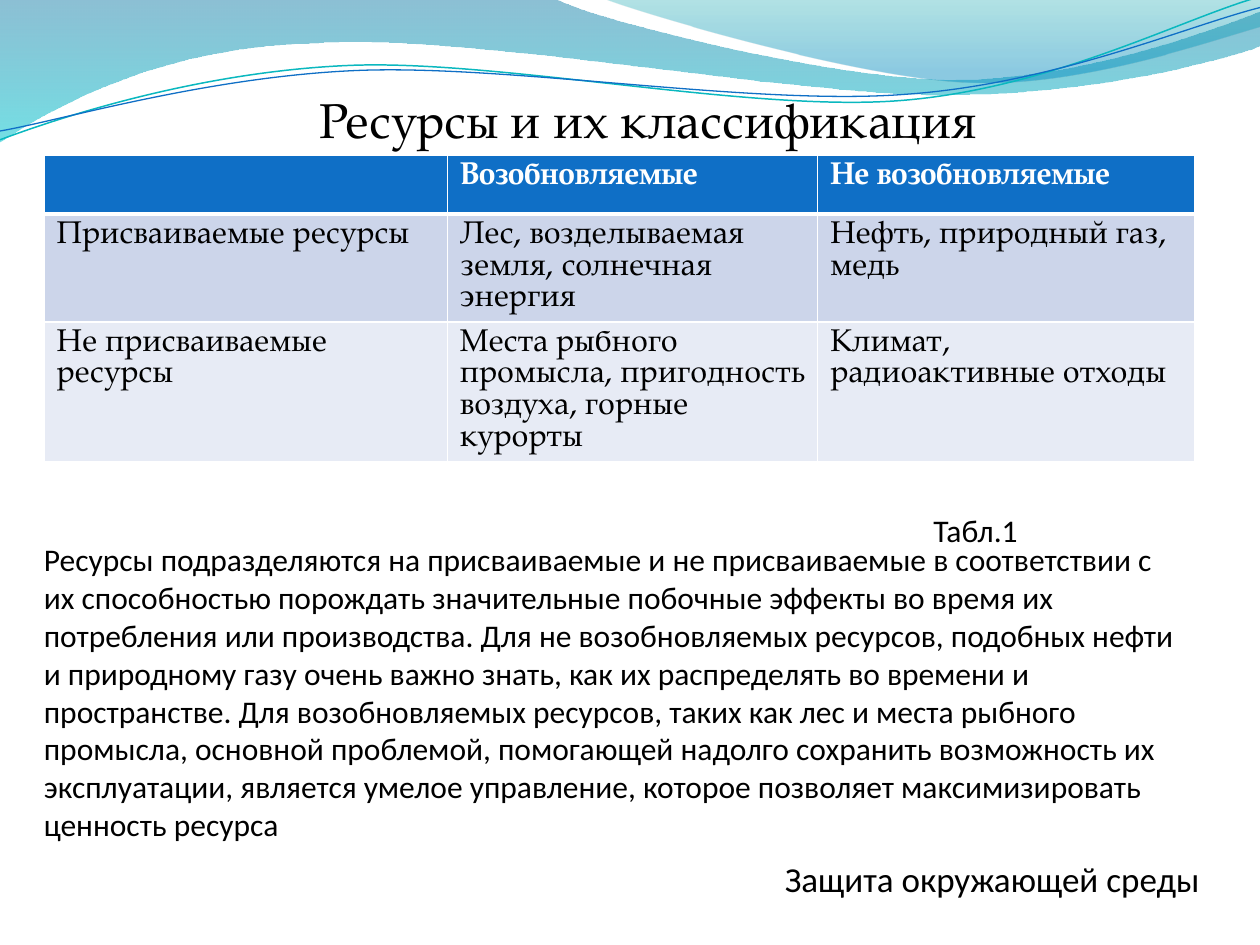
from dataclasses import dataclass
from lxml.etree import SubElement as Sub
from pptx import Presentation
from pptx.dml.color import RGBColor as RGB
from pptx.enum.text import MSO_AUTO_SIZE as Fit, PP_ALIGN as Align
from pptx.oxml.ns import qn
from pptx.util import Inches, Pt


@dataclass(frozen=True)
class Theme:
    serif: str = "TeX Gyre Pagella"
    sans: str = "Calibri"
    title: int = 28
    foot: int = 20
    body: int = 18
    ink: str = "000000"
    white: str = "FFFFFF"
    blue: str = "0F6FC6"
    teal: str = "0AB8BF"
    bands: tuple = ("CCD5EA", "E7EBF5")
    deep: tuple = ((0, "0074A1", 45), (100, "00C6CF", 55))
    pale: tuple = ((0, "00A1A9", 30), (80, "008BBF", 45))


T = Theme()

WAVE = [(0, 0), (4.4, -0.01), (4.76, 0.17, 6.64, 0.63, 7.58, 0.63),
        (8.53, 0.63, 9.58, 0.26, 10, 0.09), (10.01, 0.36),
        (9.83, 0.44, 8.7, 0.76, 7.46, 0.75), (6.22, 0.75, 3.82, 0.28, 2.57, 0.34),
        (1.29, 0.36, 0.46, 0.83, -0.01, 1.13)]
SWEEP = [(4.79, -0.01), (5.09, 0.11, 6.82, 0.62, 7.69, 0.65),
         (8.56, 0.69, 9.61, 0.32, 10, 0.21), (10, 0)]
UPPER = [(0, 1.11), (0.48, 0.93, 1.58, 0.57, 2.77, 0.52),
         (3.95, 0.47, 5.93, 0.89, 7.13, 0.8), (8.33, 0.71, 9.38, 0.15, 9.98, -0.02)]
LOWER = [(0, 1.04), (0.47, 0.96, 1.64, 0.61, 2.83, 0.56),
         (4.03, 0.51, 5.97, 0.84, 7.17, 0.75), (8.36, 0.67, 9.41, 0.21, 10, 0.06)]

ROWS = [
    ("", "Возобновляемые", "Не возобновляемые"),
    ("Присваиваемые ресурсы", "Лес, возделываемая земля, солнечная энергия",
     "Нефть, природный газ, медь"),
    ("Не присваиваемые ресурсы",
     "Места рыбного промысла, пригодность воздуха, горные курорты",
     "Климат, радиоактивные отходы"),
]
BODY = (
    "Ресурсы подразделяются на присваиваемые и не присваиваемые в соответствии с "
    "их способностью порождать значительные побочные эффекты во время их "
    "потребления или производства. Для не возобновляемых ресурсов, подобных нефти "
    "и природному газу очень важно знать, как их распределять во времени и "
    "пространстве. Для возобновляемых ресурсов, таких как лес и места рыбного "
    "промысла, основной проблемой, помогающей надолго сохранить возможность их "
    "эксплуатации, является умелое управление, которое позволяет максимизировать "
    "ценность ресурса"
)


def outline(slide, steps, close):
    dots = [(Inches(s[i]), Inches(s[i + 1])) for s in steps for i in range(0, len(s), 2)]
    pen = slide.shapes.build_freeform(*dots[0])
    pen.add_line_segments(dots[1:], close=close)
    shape = pen.convert_to_shape()
    shape.shadow.inherit = False
    legs = iter(list(shape.element.iter(qn("a:lnTo"))))
    for step in steps[1:]:
        leg = next(legs)
        if len(step) == 6:
            leg.tag = qn("a:cubicBezTo")
            for _ in range(2):
                spare = next(legs)
                leg.append(spare[0])
                spare.getparent().remove(spare)
    return shape


def wave(slide, steps, stops):
    shape = outline(slide, steps, True)
    shape.line.fill.background()
    fill = shape.fill
    fill.gradient()
    fill.gradient_angle = 270
    for stop, (pos, color, alpha) in zip(fill.gradient_stops, stops):
        stop.position = pos / 100
        stop.color.rgb = RGB.from_string(color)
    for node, (pos, color, alpha) in zip(shape.element.iter(qn("a:srgbClr")), stops):
        Sub(node, qn("a:alpha"), val=str(alpha * 1000))


def curve(slide, steps, color, width):
    shape = outline(slide, steps, False)
    shape.fill.background()
    shape.line.color.rgb = RGB.from_string(color)
    shape.line.width = Pt(width)


def write(frame, text, size=T.body, face=T.sans, color=T.ink, bold=False,
          align=None, gap=None):
    para = frame.paragraphs[0]
    para.alignment = align
    para.line_spacing = gap
    run = para.add_run()
    run.text = text
    font = run.font
    font.size, font.name, font.bold = Pt(size), face, bold
    font.color.rgb = RGB.from_string(color)
    return para


def label(slide, text, box, wrap=False, **style):
    frame = slide.shapes.add_textbox(*map(Inches, box)).text_frame
    frame.word_wrap = wrap
    frame.auto_size = Fit.SHAPE_TO_FIT_TEXT
    return write(frame, text, **style)


def paint(cell, color, base):
    props = cell._tc.get_or_add_tcPr()
    for side, width in (("L", 1), ("R", 1), ("T", 1), ("B", base)):
        edge = Sub(props, qn(f"a:ln{side}"), w=str(Pt(width)))
        Sub(Sub(edge, qn("a:solidFill")), qn("a:srgbClr"), val=T.white)
    cell.fill.solid()
    cell.fill.fore_color.rgb = RGB.from_string(color)


def grid(slide, rows, box, cols, highs):
    table = slide.shapes.add_table(len(rows), len(cols), *map(Inches, box)).table
    for col, width in zip(table.columns, cols):
        col.width = Inches(width)
    for r, (row, high) in enumerate(zip(rows, highs)):
        table.rows[r].height = Inches(high)
        head = r == 0
        for c, text in enumerate(row):
            cell = table.cell(r, c)
            paint(cell, T.blue if head else T.bands[r - 1], 3 if head else 1)
            if text:
                write(cell.text_frame, text, face=T.serif, bold=head,
                      color=T.white if head else T.ink, gap=Pt(18.1))


def main():
    deck = Presentation()
    deck.slide_width, deck.slide_height = Inches(10), Inches(7.5)
    slide = deck.slides.add_slide(deck.slide_layouts[6])
    wave(slide, WAVE, T.deep)
    wave(slide, SWEEP, T.pale)
    curve(slide, UPPER, T.teal, 0.85)
    curve(slide, LOWER, T.blue, 0.75)
    grid(slide, ROWS, (0.35, 1.23, 9.13, 2.43), (3.2, 2.94, 2.99), (0.47, 0.85, 1.11))
    title = label(slide, "Ресурсы и их классификация", (-1.64, 0.66, 9.57, 0.57),
                  size=T.title, face=T.serif, align=Align.CENTER)
    title.level = 8
    title._p.get_or_add_pPr().set("marL", str(Inches(4)))
    label(slide, BODY, (0.25, 4.24, 9.23, 2.52), wrap=True)
    label(slide, "Защита окружающей среды", (6.13, 6.76, 3.52, 0.44), size=T.foot)
    label(slide, "Табл.1", (7.31, 4.01, 0.88, 0.4))
    deck.save("out.pptx")


if __name__ == "__main__":
    main()
